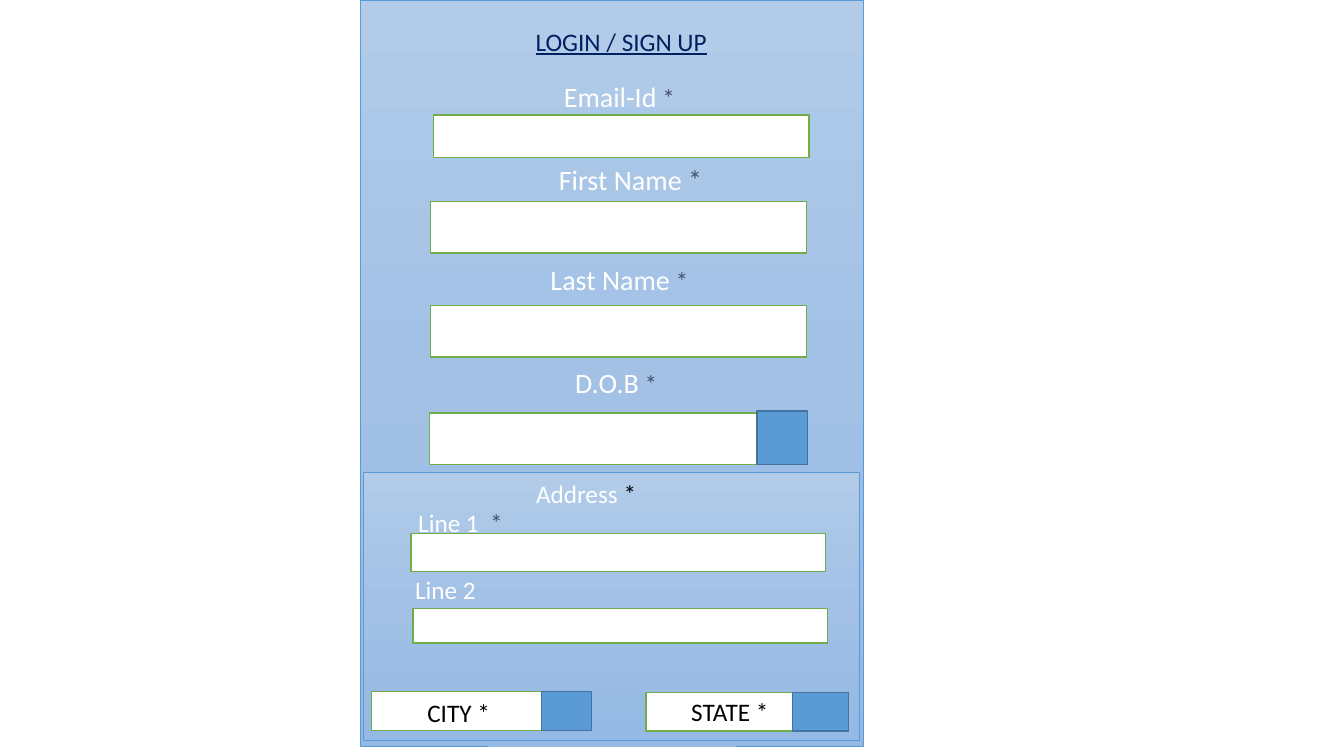
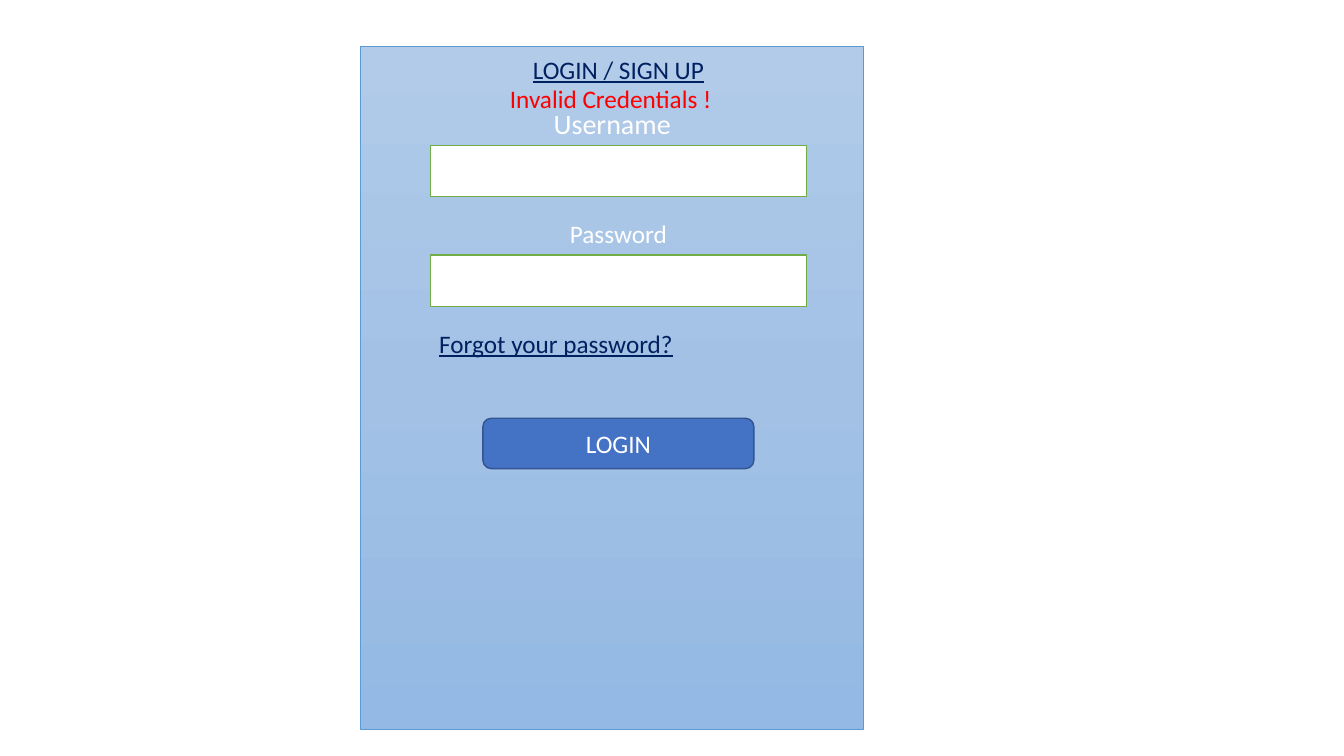
from copy import deepcopy
from pptx import Presentation
from pptx import util as u
from pptx.dml.color import RGBColor
from pptx.enum import shapes, text
from pptx.oxml.ns import qn

WHITE, BLACK = RGBColor(255, 255, 255), RGBColor(0, 0, 0)
NAVY, SLATE, RED = RGBColor(0x00, 0x20, 0x60), RGBColor(0x44, 0x54, 0x6A), RGBColor(255, 0, 0)
GREEN = RGBColor(0x70, 0xAD, 0x47)
SKY, SKY_EDGE = RGBColor(0x5B, 0x9B, 0xD5), RGBColor(0x43, 0x73, 0x9E)
BLUE, BLUE_EDGE = RGBColor(0x44, 0x72, 0xC4), RGBColor(0x32, 0x54, 0x91)
PANEL_STOPS = [RGBColor(0xB1, 0xCB, 0xE9), RGBColor(0xA3, 0xC1, 0xE5), RGBColor(0x93, 0xB9, 0xE4)]
FONT = "Calibri"
RECT = shapes.MSO_SHAPE.RECTANGLE
CENTER, LEFT = text.PP_ALIGN.CENTER, text.PP_ALIGN.LEFT

# Content; every length is in centimetres
TITLE = "LOGIN / SIGN UP"
PANEL_X, PANEL_W = 9.09, 12.67
FIELD_X, FIELD_W, FIELD_H = 10.85, 9.47, 1.3
LABEL_W, LABEL_H, LINE_H = 9.22, 1.12, 1.02

# label, star, star size, label x and y, box x, y and height
SIGN_UP_FIELDS = [
    ("Email-Id", " *", 18, 11, 1.88, 10.92, 2.9, 1.07),
    ("First Name", " *", 20, 11.28, 3.96, FIELD_X, 5.08, FIELD_H),
    ("Last Name", " *", 18, 11, 6.5, FIELD_X, 7.7, FIELD_H),
    ("D.O.B", " *", 18, 10.92, 9.09, 10.82, 10.41, FIELD_H),
]
DATE_PICKER = (19.08, 10.36, 1.27, 1.35)
ADDRESS_PANEL = (9.17, 11.91, 12.5, 6.76)
ADDRESS_HEADING = (13.26, 11.94, 3.91, LINE_H)
# label, star, label x and y, box
ADDRESS_LINES = [
    ("Line 1", "  *", 10.29, 12.67, (10.36, 13.44, 10.44, 0.97)),
    ("Line 2", "", 10.21, 14.35, (10.41, 15.34, 10.44, 0.86)),
]
# label, label x and y, box, width of its drop-down button
DROP_DOWNS = [
    ("CITY *", 10.52, 17.45, (9.37, 17.42, 5.54, 0.99), 1.27),
    ("STATE *", 17.17, 17.42, (16.28, 17.45, 5.11, 0.97), 1.42),
]
# label, size, label place, box y
LOGIN_FIELDS = [
    ("Username", 20, (10.82, 2.57, LABEL_W, LABEL_H), 3.66),
    ("Password", 18, (11.51, 5.38, 8.15, LINE_H), 6.43),
]


def cm(place):
    return [u.Cm(length) for length in place]


def write(holder, *runs, size=18, color=WHITE, align=LEFT, underline=None,
          anchor=text.MSO_ANCHOR.TOP):
    """Each run is a text, or a tuple of text, colour and size."""
    frame = holder.text_frame
    frame.word_wrap = True
    frame.vertical_anchor = anchor
    frame.auto_size = text.MSO_AUTO_SIZE.NONE
    line = frame.paragraphs[0]
    line.alignment = align
    for part in runs:
        words, run_color, run_size = part if isinstance(part, tuple) else (part, color, size)
        run = line.add_run()
        run.text = words
        run.font.name, run.font.size = FONT, u.Pt(run_size)
        run.font.color.rgb, run.font.underline = run_color, underline


def label(slide, place, *runs, **style):
    write(slide.shapes.add_textbox(*cm(place)), *runs, **style)


def box(slide, place, fill=WHITE, edge=GREEN, weight=1, kind=RECT):
    shape = slide.shapes.add_shape(kind, *cm(place))
    shape.shadow.inherit = False
    shape.line.color.rgb, shape.line.width = edge, u.Pt(weight)
    if fill:
        shape.fill.solid()
        shape.fill.fore_color.rgb = fill
    return shape


def panel(slide, place):
    shape = box(slide, place, fill=None, edge=SKY, weight=0.5)
    shape.fill.gradient()
    shape.fill.gradient_angle = 270
    stops = shape.element.find(".//" + qn("a:gsLst"))
    middle = deepcopy(stops[0])
    middle.set("pos", "50000")
    stops.insert(1, middle)
    for stop, color in zip(shape.fill.gradient_stops, PANEL_STOPS):
        stop.color.rgb = color


def form_slide(top, height, title_x, title_y):
    slide = deck.slides.add_slide(deck.slide_layouts[5])
    panel(slide, (PANEL_X, top, PANEL_W, height))
    title = slide.shapes.title
    title.left, title.top, title.width, title.height = cm((title_x, title_y, PANEL_W, LINE_H))
    write(title, TITLE, color=NAVY, align=CENTER, underline=True)
    title.element.getparent().append(title.element)  # in front of the panel
    return slide


deck = Presentation()
deck.slide_width, deck.slide_height = u.Cm(33.87), u.Cm(19.05)

# Sign-up form
sign_up = form_slide(0, 18.8, 9.32, 0.53)
for name, star, star_size, x, y, box_x, box_y, box_h in SIGN_UP_FIELDS:
    box(sign_up, (box_x, box_y, FIELD_W, box_h))
    label(sign_up, (x, y, LABEL_W, LABEL_H), name, (star, SLATE, star_size),
          size=20, align=CENTER)
box(sign_up, DATE_PICKER, SKY, SKY_EDGE)

# Address block
panel(sign_up, ADDRESS_PANEL)
label(sign_up, ADDRESS_HEADING, "Address ", ("*", BLACK, 18))
for name, star, x, y, place in ADDRESS_LINES:
    box(sign_up, place)
    label(sign_up, (x, y, 2.97, LINE_H), name, *([(star, SLATE, 18)] if star else []))
for name, x, y, place, button_w in DROP_DOWNS:
    left, top, width, height = place
    box(sign_up, place)
    box(sign_up, (left + width - button_w, top, button_w, height), SKY, SKY_EDGE)
    label(sign_up, (x, y, 2.97, LINE_H), name, color=BLACK)

# Login form with its error message
login = form_slide(1.17, 17.2, 9.25, 1.24)
for name, size, place, box_y in LOGIN_FIELDS:
    box(login, (FIELD_X, box_y, FIELD_W, FIELD_H))
    label(login, place, name, size=size, align=CENTER)
label(login, (10.82, 8.15, 7.52, LINE_H), "Forgot your password?", color=NAVY, underline=True)
button = box(login, (12.17, 10.54, 6.83, 1.27), BLUE, BLUE_EDGE,
             kind=shapes.MSO_SHAPE.ROUNDED_RECTANGLE)
write(button, "LOGIN", align=CENTER, anchor=text.MSO_ANCHOR.MIDDLE)
label(login, (12.6, 1.98, 7.49, LINE_H), "Invalid Credentials !", color=RED)

deck.save("out.pptx")
